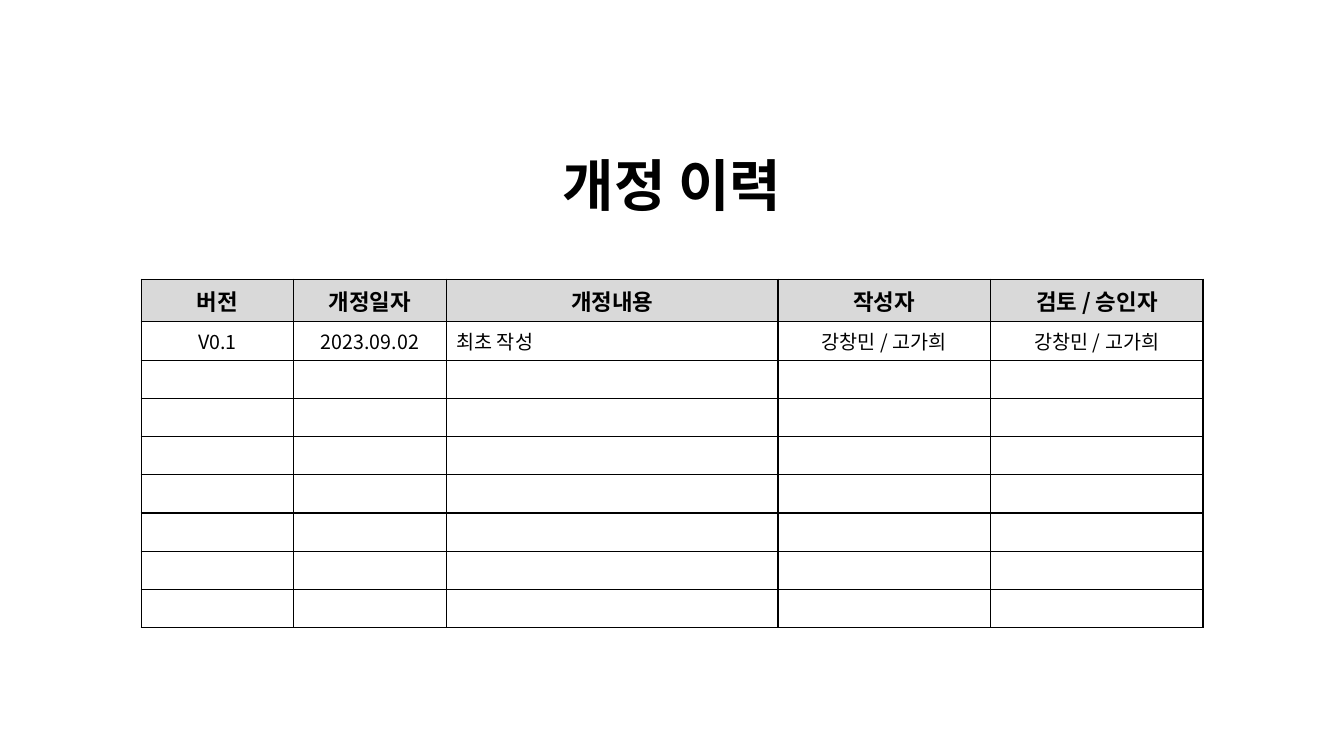
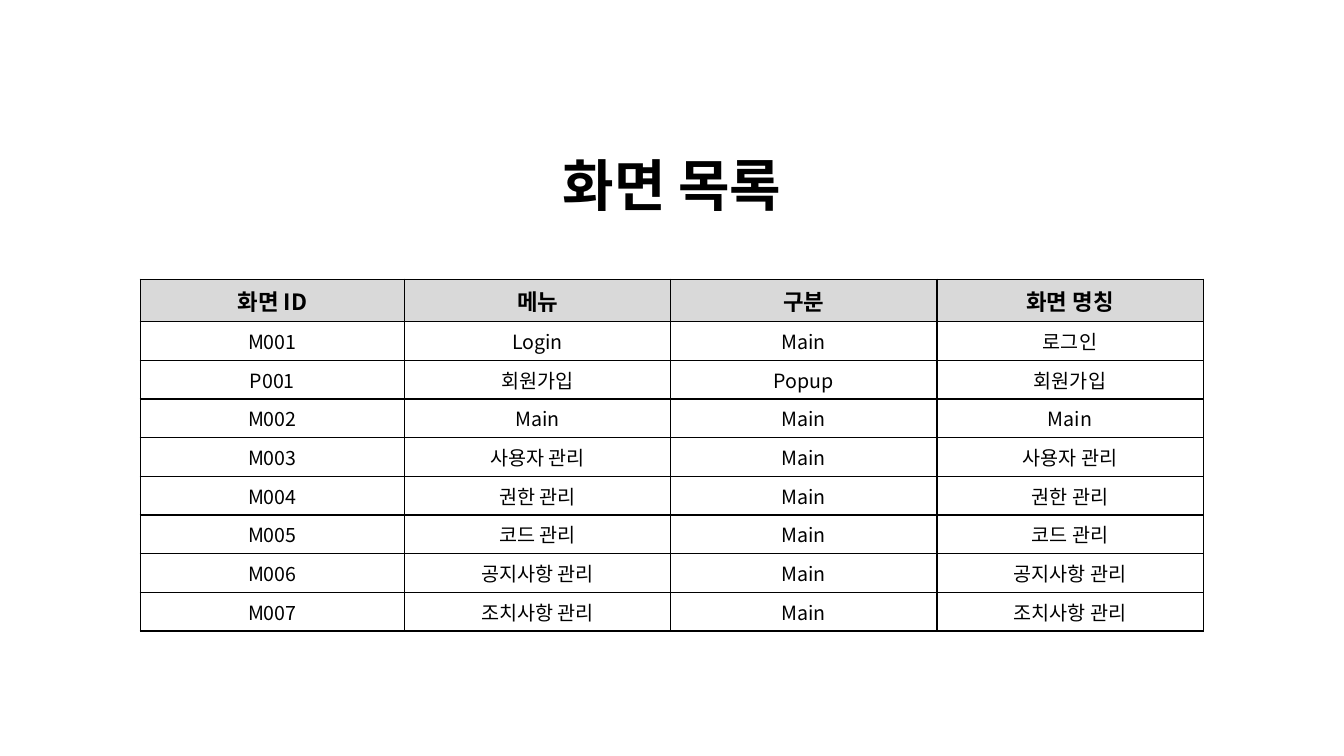
from dataclasses import dataclass

from lxml import etree
from pptx import Presentation
from pptx.dml.color import RGBColor
from pptx.enum import text as t
from pptx.oxml import ns
from pptx.util import Pt

BLACK = RGBColor(0x00, 0x00, 0x00)
HEADER_GRAY = RGBColor(0xD9, 0xD9, 0xD9)
FONT = "Noto Sans CJK KR"
TITLE_BOX = {"left": Pt(264), "top": Pt(90.7), "width": Pt(432), "height": Pt(69.1)}
TITLE_FONT = {"size": Pt(40), "bold": True}
HEADER_FONT = {"size": Pt(16), "bold": True}
BODY_FONT = {"size": Pt(14), "bold": False}
TABLE_TOP = 199.4
ROW_HEIGHT = 27.3
BORDER_WIDTH = Pt(1)


@dataclass(frozen=True)
class TableSlide:
    title: str
    left: float
    widths: tuple[float, ...]
    header: tuple[str, ...]
    rows: tuple[tuple[str, ...], ...]
    left_aligned: tuple[int, ...] = ()


HISTORY_COLUMNS = ("버전", "개정일자", "개정내용", "작성자", "검토 / 승인자")
EMPTY_HISTORY_ROW = ("",) * len(HISTORY_COLUMNS)

TABLE_SLIDES = (
    TableSlide(
        title="개정 이력",
        left=100.8,
        widths=(108.9, 109.2, 236.9, 151.8, 151.8),
        header=HISTORY_COLUMNS,
        rows=(
            ("V0.1", "2023.09.02", "최초 작성", "강창민 / 고가희", "강창민 / 고가희"),
            *(EMPTY_HISTORY_ROW,) * 7,
        ),
        left_aligned=(2,),
    ),
    TableSlide(
        title="화면 목록",
        left=100.2,
        widths=(188.7, 190.2, 190.2, 190.2),
        header=("화면 ID", "메뉴", "구분", "화면 명칭"),
        rows=(
            ("M001", "Login", "Main", "로그인"),
            ("P001", "회원가입", "Popup", "회원가입"),
            ("M002", "Main", "Main", "Main"),
            ("M003", "사용자 관리", "Main", "사용자 관리"),
            ("M004", "권한 관리", "Main", "권한 관리"),
            ("M005", "코드 관리", "Main", "코드 관리"),
            ("M006", "공지사항 관리", "Main", "공지사항 관리"),
            ("M007", "조치사항 관리", "Main", "조치사항 관리"),
        ),
    ),
)


def set_attributes(target, values: dict) -> None:
    for name, value in values.items():
        setattr(target, name, value)


def write_text(paragraph, content: str, font: dict, alignment) -> None:
    paragraph.alignment = alignment
    if not content:
        etree.SubElement(
            paragraph._p, ns.qn("a:endParaRPr"), sz=str(int(font["size"].pt * 100))
        )
        return
    run = paragraph.add_run()
    run.text = content
    set_attributes(run.font, {"name": FONT, **font})
    run.font.color.rgb = BLACK
    etree.SubElement(run._r.get_or_add_rPr(), ns.qn("a:ea"), typeface=FONT)


def draw_borders(cell) -> None:
    properties = cell._tc.get_or_add_tcPr()
    for side in ("lnL", "lnR", "lnT", "lnB"):
        line = etree.SubElement(properties, ns.qn(f"a:{side}"), w=str(int(BORDER_WIDTH)))
        fill = etree.SubElement(line, ns.qn("a:solidFill"))
        etree.SubElement(fill, ns.qn("a:srgbClr"), val=str(BLACK))


def draw_title(slide, content: str) -> None:
    title = slide.shapes.title
    set_attributes(title, TITLE_BOX)
    set_attributes(
        title.text_frame,
        {
            "vertical_anchor": t.MSO_ANCHOR.BOTTOM,
            "word_wrap": True,
            "auto_size": t.MSO_AUTO_SIZE.NONE,
        },
    )
    paragraph = title.text_frame.paragraphs[0]
    paragraph.line_spacing = 0.9
    write_text(paragraph, content, TITLE_FONT, t.PP_ALIGN.CENTER)


def draw_table(slide, content: TableSlide) -> None:
    rows = (content.header, *content.rows)
    table = slide.shapes.add_table(
        len(rows),
        len(content.widths),
        Pt(content.left),
        Pt(TABLE_TOP),
        Pt(sum(content.widths)),
        Pt(ROW_HEIGHT * len(rows)),
    ).table
    set_attributes(table, {"first_row": False, "horz_banding": False})
    for column, width in zip(table.columns, content.widths):
        column.width = Pt(width)
    for row_index, row in enumerate(rows):
        is_header = row_index == 0
        table.rows[row_index].height = Pt(ROW_HEIGHT)
        for column_index, value in enumerate(row):
            cell = table.cell(row_index, column_index)
            cell.vertical_anchor = t.MSO_ANCHOR.MIDDLE
            draw_borders(cell)
            if is_header:
                cell.fill.solid()
                cell.fill.fore_color.rgb = HEADER_GRAY
            else:
                cell.fill.background()
            starts_left = not is_header and column_index in content.left_aligned
            write_text(
                cell.text_frame.paragraphs[0],
                value,
                HEADER_FONT if is_header else BODY_FONT,
                t.PP_ALIGN.LEFT if starts_left else t.PP_ALIGN.CENTER,
            )


def build_slide(presentation, content: TableSlide) -> None:
    slide = presentation.slides.add_slide(presentation.slide_layouts[0])
    subtitle = slide.placeholders[1].element
    subtitle.getparent().remove(subtitle)
    draw_table(slide, content)
    draw_title(slide, content.title)


def main() -> None:
    presentation = Presentation()
    set_attributes(presentation, {"slide_width": Pt(960), "slide_height": Pt(540)})
    for content in TABLE_SLIDES:
        build_slide(presentation, content)
    presentation.save("out.pptx")


main()
